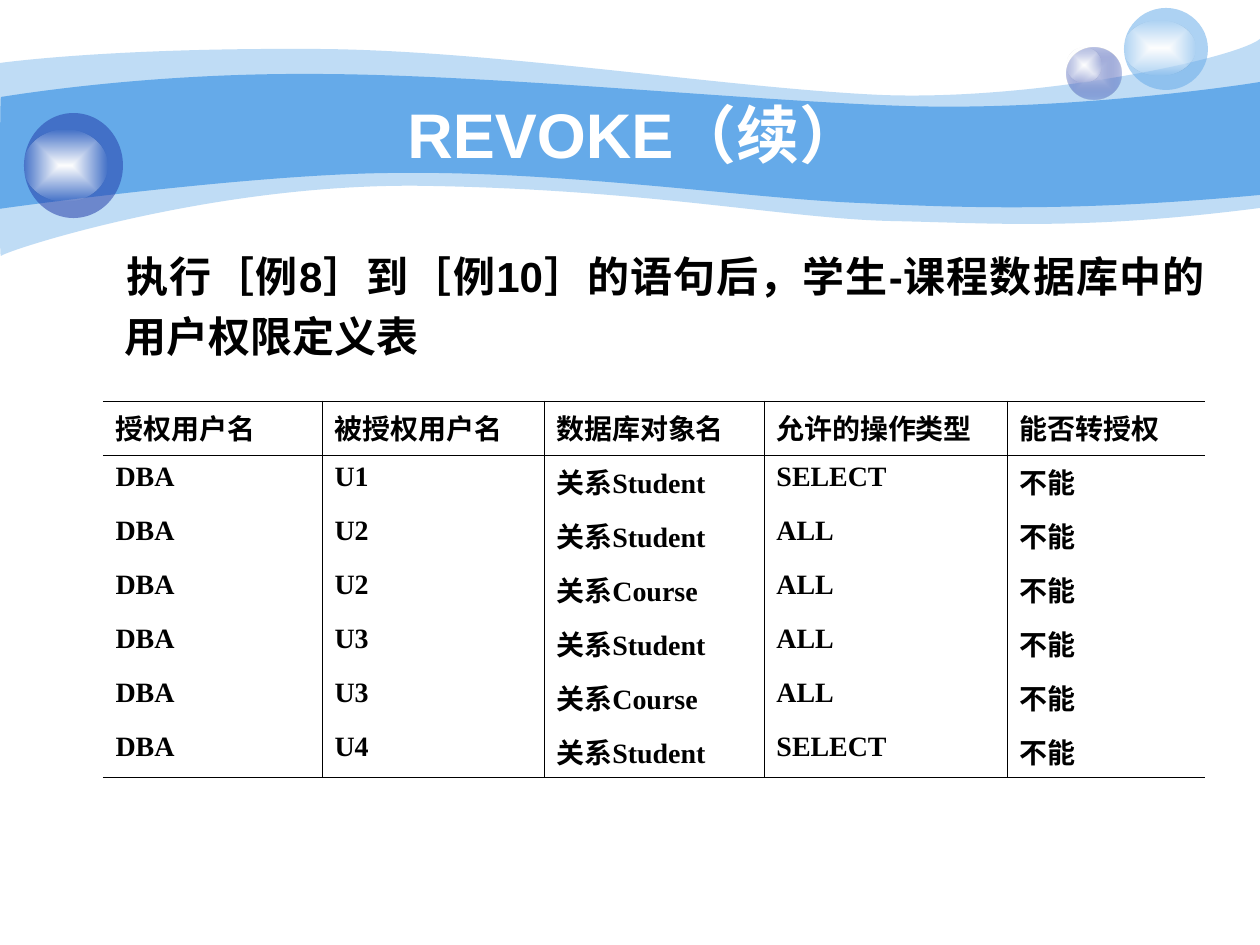
from dataclasses import dataclass

from lxml.etree import SubElement
from pptx import Presentation
from pptx.dml.color import RGBColor
from pptx.enum.shapes import MSO_SHAPE
from pptx.enum.text import MSO_ANCHOR, MSO_AUTO_SIZE, PP_ALIGN
from pptx.oxml.ns import qn
from pptx.util import Inches, Pt

SCALE = Inches(1) / 126


@dataclass(frozen=True)
class Theme:
    sky: str = "65AAE9"
    navy: str = "233DA9"
    lavender: str = "C7CEE9"
    white: str = "FFFFFF"
    black: str = "000000"
    heading_font: str = "Arial"
    table_font: str = "Times New Roman"
    title_size: int = 36
    body_size: int = 24
    table_size: int = 16
    rule_width: float = 0.45
    plain_table: str = "{2D5ABB26-0587-4C30-8999-92F81FD0307C}"


def emu(px):
    return round(px * SCALE)


def add_color(parent, color, alpha=100):
    node = SubElement(parent, qn("a:srgbClr"), val=color)
    if alpha < 100:
        SubElement(node, qn("a:alpha"), val=str(alpha * 1000))


class SlideBuilder:
    def __init__(self, slide, theme):
        self.slide = slide
        self.theme = theme

    def set_font(self, para, name, size, color):
        para.font.name = name
        para.font.size = Pt(size)
        para.font.bold = True
        para.font.color.rgb = RGBColor.from_string(color)

    def finish(self, shape, color, alpha):
        shape.shadow.inherit = False
        shape.line.fill.background()
        shape.fill.solid()
        shape.fill.fore_color.rgb = RGBColor.from_string(color)
        if alpha < 100:
            node = shape._element.spPr.find(qn("a:solidFill"))[0]
            SubElement(node, qn("a:alpha"), val=str(alpha * 1000))

    def wave(self, start, segments, alpha=100):
        """Closed band; a segment is one line end or three cubic curve points."""
        builder = self.slide.shapes.build_freeform(*start, scale=SCALE)
        for segment in segments:
            builder.add_line_segments(segment, close=segment is segments[-1])
        shape = builder.convert_to_shape()
        lines = list(shape._element.iter(qn("a:lnTo")))
        for segment in segments:
            steps, lines = lines[:len(segment)], lines[len(segment):]
            if len(steps) == 3:
                curve = steps[0].makeelement(qn("a:cubicBezTo"))
                steps[0].addprevious(curve)
                for step in steps:
                    curve.append(step[0])
                    step.getparent().remove(step)
        self.finish(shape, self.theme.sky, alpha)

    def glow(self, shape, inner, outer, outer_alpha):
        """Rectangular gradient from the centre outwards."""
        solid = shape._element.spPr.find(qn("a:solidFill"))
        gradient = solid.makeelement(qn("a:gradFill"), {"rotWithShape": "1"})
        stops = SubElement(gradient, qn("a:gsLst"))
        for position, color, alpha in ((0, inner, 100), (100000, outer, outer_alpha)):
            stop = SubElement(stops, qn("a:gs"), pos=str(position))
            add_color(stop, color, alpha)
        shade = SubElement(gradient, qn("a:path"), {"path": "rect"})
        SubElement(shade, qn("a:fillToRect"), dict.fromkeys("ltrb", "50000"))
        solid.getparent().replace(solid, gradient)

    def orb(self, ball_box, shine_box, color, alpha, center=None):
        group = self.slide.shapes.add_group_shape()
        ball, shine = (group.shapes.add_shape(MSO_SHAPE.OVAL, *map(emu, box))
                       for box in (ball_box, shine_box))
        self.finish(ball, color, alpha)
        if center:
            self.glow(ball, center, color, alpha)
        self.finish(shine, self.theme.white, 100)
        self.glow(shine, self.theme.white, self.theme.white, 0)

    def placeholder(self, index, box, text, size, color, align, anchor):
        """Fills a placeholder, brings it to the front and returns its paragraph."""
        shape = self.slide.placeholders[index]
        self.slide.shapes._spTree.append(shape._element)
        shape.left, shape.top, shape.width, shape.height = map(emu, box)
        frame = shape.text_frame
        frame.auto_size = MSO_AUTO_SIZE.NONE
        frame.word_wrap = True
        frame.vertical_anchor = anchor
        para = frame.paragraphs[0]
        para.text = text
        para.alignment = align
        para.space_before = Pt(0)
        self.set_font(para, self.theme.heading_font, size, color)
        return para

    def title(self, box, text):
        self.placeholder(0, box, text, self.theme.title_size, self.theme.white,
                         PP_ALIGN.CENTER, MSO_ANCHOR.MIDDLE)

    def body(self, box, text, margin, indent):
        para = self.placeholder(1, box, text, self.theme.body_size, self.theme.black,
                                PP_ALIGN.JUSTIFY, MSO_ANCHOR.TOP)
        para.line_spacing = 1.2
        properties = para._p.get_or_add_pPr()
        properties.set("marL", str(emu(margin)))
        properties.set("indent", str(emu(indent)))
        properties.insert_element_before(
            properties.makeelement(qn("a:buNone")), "a:tabLst", "a:defRPr", "a:extLst")

    def borders(self, cell, sides):
        """Draws the sides marked true and clears the others."""
        properties = cell._tc.get_or_add_tcPr()
        for side, drawn in sides.items():
            line = SubElement(properties, qn(f"a:ln{side}"),
                              w=str(Pt(self.theme.rule_width)))
            if drawn:
                add_color(SubElement(line, qn("a:solidFill")), self.theme.black)
            else:
                SubElement(line, qn("a:noFill"))

    def table(self, left, top, widths, heights, rows):
        frame = self.slide.shapes.add_table(
            len(rows), len(widths), emu(left), emu(top),
            emu(sum(widths)), emu(sum(heights)))
        table = frame.table
        table._tbl.tblPr.find(qn("a:tableStyleId")).text = self.theme.plain_table
        table.first_row = table.horz_banding = False
        for column, width in zip(table.columns, widths):
            column.width = emu(width)
        last_row, last_column = len(rows) - 1, len(widths) - 1
        for r, values in enumerate(rows):
            table.rows[r].height = emu(heights[r])
            for c, value in enumerate(values):
                cell = table.cell(r, c)
                para = cell.text_frame.paragraphs[0]
                para.text = value
                self.set_font(para, self.theme.table_font, self.theme.table_size,
                              self.theme.black)
                self.borders(cell, {"L": c > 0, "R": c < last_column,
                                    "T": r < 2, "B": r in (0, last_row)})
                cell.fill.background()


def main():
    theme = Theme()
    deck = Presentation()
    deck.slide_width, deck.slide_height = Inches(10), Inches(7.5)
    page = SlideBuilder(deck.slides.add_slide(deck.slide_layouts[1]), theme)

    page.wave((0, 63), [
        ((30, 59), (135, 48), (311, 49)), ((486, 49), (725, 88), (881, 95)),
        ((1036, 101), (1235, 59), (1260, 39)), ((1260, 208),),
        ((1081, 231), (992, 223), (888, 221)), ((784, 218), (649, 190), (432, 186)),
        ((217, 181), (5, 251), (1, 256)), ((-1, 262), (0, 95), (0, 63))], alpha=41)
    page.wave((1, 97), [
        ((3, 97), (139, 73), (312, 74)), ((486, 74), (750, 101), (905, 106)),
        ((1060, 111), (1230, 87), (1260, 82)), ((1260, 195),),
        ((1075, 212), (964, 208), (859, 203)), ((755, 199), (563, 171), (399, 173)),
        ((256, 173), (-3, 209), (-1, 209)), ((0, 209), (0, 97), (1, 97))])

    page.orb((1067, 48, 54, 51), (1067, 48, 35, 34), theme.navy, 31, theme.lavender)
    page.orb((1124, 8, 84, 82), (1124, 21, 71, 54), theme.sky, 53)
    page.orb((24, 113, 99, 105), (24, 130, 83, 71), theme.navy, 53)

    page.title((126, 94, 1018, 78), "REVOKE（续）")
    page.body((64, 234, 1153, 151),
              "执行［例8］到［例10］的语句后，学生-课程数据库中的用户权限定义表",
              margin=48, indent=2)

    grants = [("U1", "Student", "SELECT"), ("U2", "Student", "ALL"),
              ("U2", "Course", "ALL"), ("U3", "Student", "ALL"),
              ("U3", "Course", "ALL"), ("U4", "Student", "SELECT")]
    header = ("授权用户名", "被授权用户名", "数据库对象名", "允许的操作类型", "能否转授权")
    rows = [header] + [("DBA", user, f"关系{relation}", action, "不能")
                       for user, relation, action in grants]
    page.table(103, 401, (219, 222, 220, 243, 198), [54] * 6 + [49], rows)
    deck.save("out.pptx")


if __name__ == "__main__":
    main()
